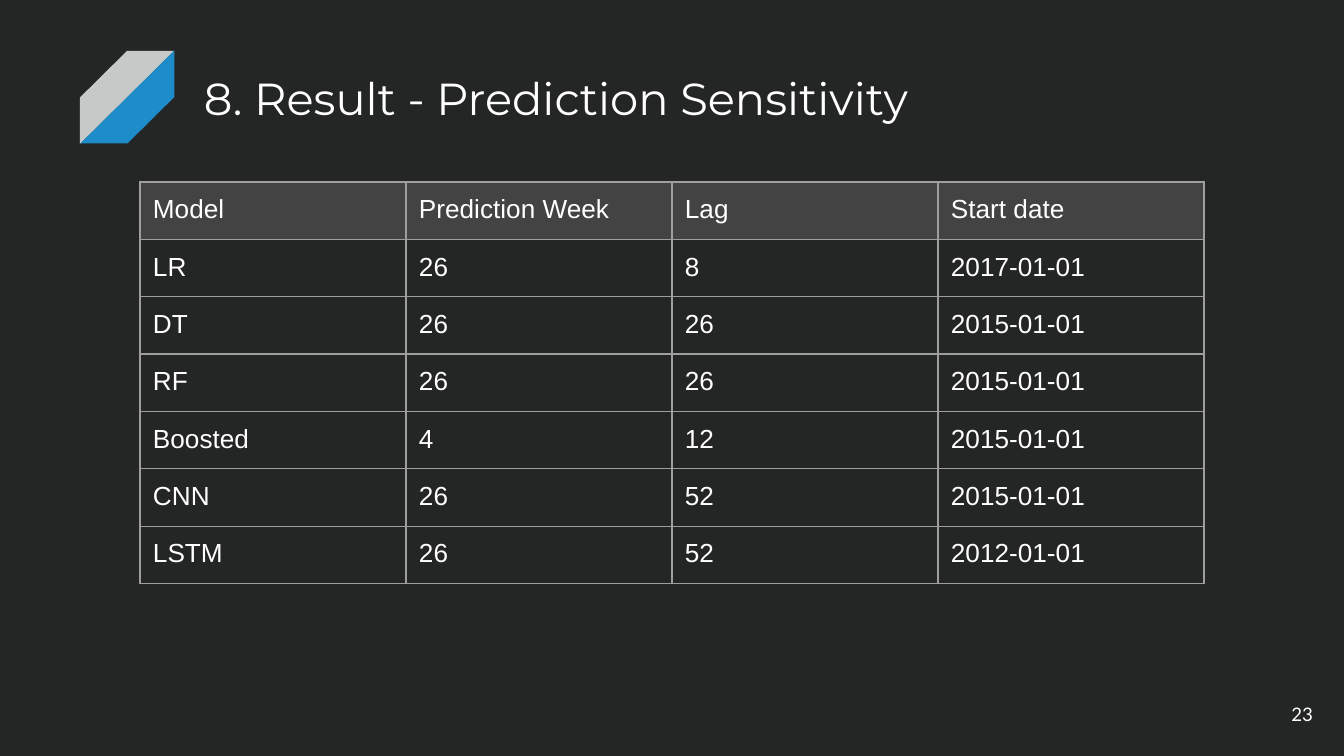
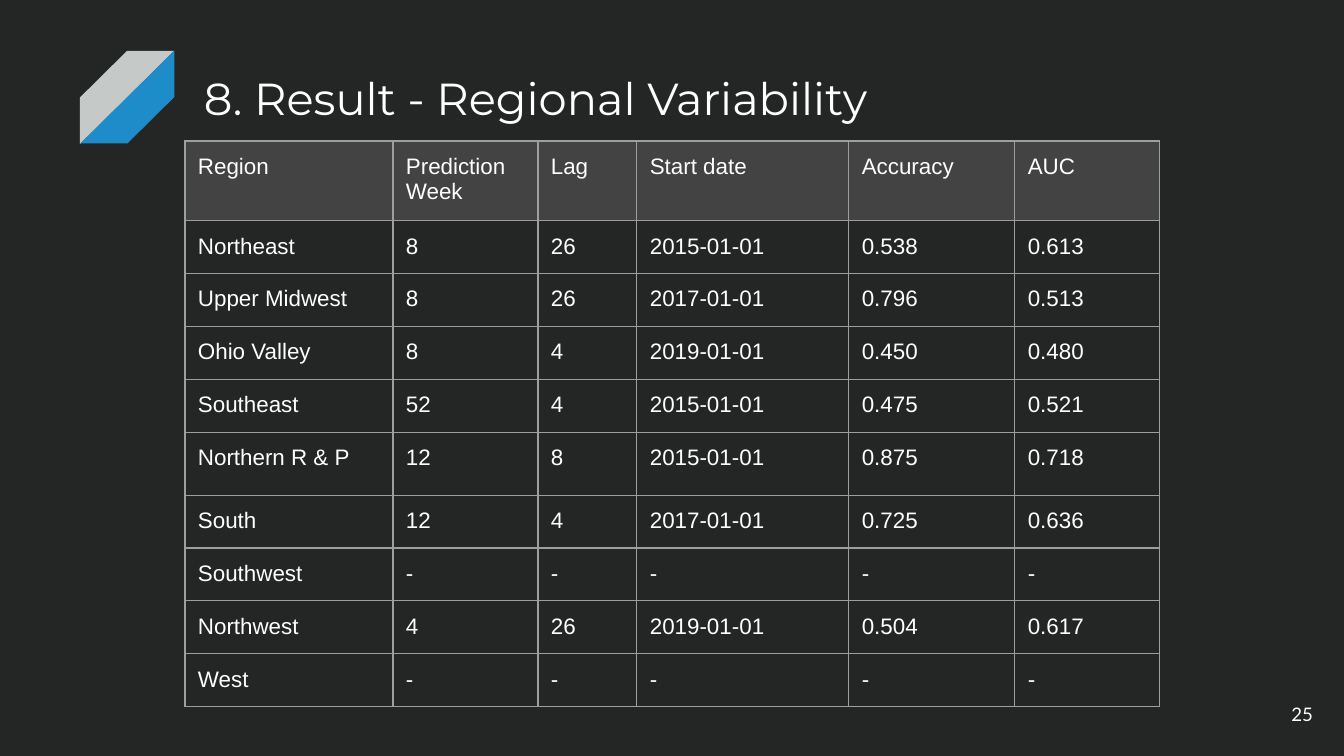
from pptx import Presentation
from pptx.dml.color import RGBColor
from pptx.enum.shapes import MSO_SHAPE as Shape
from pptx.enum.text import MSO_ANCHOR as Anchor, PP_ALIGN as Align
from pptx.oxml.ns import qn
from pptx.util import Emu, Pt
from lxml.etree import SubElement

PX = 914400 / 134.4
INSET = 13
FRAME = 441
COLORS = {
    "background": "242525",
    "text": "FFFFFF",
    "stripe": "C5CAC8",
    "accent": "1F8CCA",
    "header": "434343",
    "border": "9E9E9E",
}

SENSITIVITY = [
    ("Model", "Prediction Week", "Lag", "Start date"),
    ("LR", "26", "8", "2017-01-01"),
    ("DT", "26", "26", "2015-01-01"),
    ("RF", "26", "26", "2015-01-01"),
    ("Boosted", "4", "12", "2015-01-01"),
    ("CNN", "26", "52", "2015-01-01"),
    ("LSTM", "26", "52", "2012-01-01"),
]
REGIONS = [
    ("Region", "Prediction Week", "Lag", "Start date", "Accuracy", "AUC"),
    ("Northeast", "8", "26", "2015-01-01", "0.538", "0.613"),
    ("Upper Midwest", "8", "26", "2017-01-01", "0.796", "0.513"),
    ("Ohio Valley", "8", "4", "2019-01-01", "0.450", "0.480"),
    ("Southeast", "52", "4", "2015-01-01", "0.475", "0.521"),
    ("Northern R & P", "12", "8", "2015-01-01", "0.875", "0.718"),
    ("South", "12", "4", "2017-01-01", "0.725", "0.636"),
    ("Southwest",) + ("-",) * 5,
    ("Northwest", "4", "26", "2019-01-01", "0.504", "0.617"),
    ("West",) + ("-",) * 5,
]


def px(n):
    return Emu(round(n * PX))


def rgb(name):
    return RGBColor.from_string(COLORS[name])


def write(tf, text, size, font="Arial", align=Align.LEFT):
    p = tf.paragraphs[0]
    p.alignment = align
    r = p.add_run()
    r.text = text
    r.font.size = Pt(size)
    r.font.name = font
    r.font.color.rgb = rgb("text")


def add_text(s, box, text, anchor=Anchor.TOP, **fmt):
    tf = s.shapes.add_textbox(*map(px, box)).text_frame
    tf.word_wrap = True
    tf.vertical_anchor = anchor
    tf.margin_left = tf.margin_right = tf.margin_top = tf.margin_bottom = px(INSET)
    write(tf, text, **fmt)


def add_stripe(s, box, color, rotation=0, flip=False):
    sp = s.shapes.add_shape(Shape.DIAGONAL_STRIPE, *map(px, box))
    sp.adjustments[0] = 0.5
    sp.rotation = rotation
    if flip:
        sp._element.spPr.find(qn("a:xfrm")).set("flipH", "1")
    sp.fill.solid()
    sp.fill.fore_color.rgb = rgb(color)
    sp.line.fill.background()
    sp.shadow.inherit = False


def add_borders(cell):
    tc_pr = cell._tc.get_or_add_tcPr()
    for side in ("lnL", "lnR", "lnT", "lnB"):
        ln = SubElement(tc_pr, qn(f"a:{side}"), w=str(Pt(0.75)))
        fill = SubElement(ln, qn("a:solidFill"))
        SubElement(fill, qn("a:srgbClr"), val=COLORS["border"])


def add_grid(s, x, y, widths, heights, rows, size):
    frame = s.shapes.add_table(len(rows), len(widths), px(x), px(y),
                               px(FRAME), px(FRAME))
    table = frame.table
    table.first_row = table.horz_banding = False
    for col, width in zip(table.columns, widths):
        col.width = px(width)
    for i, (row, height, values) in enumerate(zip(table.rows, heights, rows)):
        row.height = px(height)
        for cell, value in zip(row.cells, values):
            cell.margin_left = cell.margin_right = px(INSET)
            cell.margin_top = cell.margin_bottom = px(INSET)
            add_borders(cell)
            if i == 0:
                cell.fill.solid()
                cell.fill.fore_color.rgb = rgb("header")
            else:
                cell.fill.background()
            write(cell.text_frame, value, size)
    frame.width = frame.height = px(FRAME)


def add_slide(prs, title, number):
    s = prs.slides.add_slide(prs.slide_layouts[6])
    s.background.fill.solid()
    s.background.fill.fore_color.rgb = rgb("background")
    add_stripe(s, (80, 51, 94, 93), "stripe")
    add_stripe(s, (81, 50, 93, 94), "accent", rotation=90, flip=True)
    add_text(s, (191, 58, 1035, 134), title, size=24, font="Montserrat")
    add_text(s, (1245, 685, 81, 58), str(number), anchor=Anchor.MIDDLE,
             size=10, font="Lato", align=Align.RIGHT)
    return s


def main():
    prs = Presentation()
    prs.slide_width, prs.slide_height = px(1344), px(756)

    s = add_slide(prs, "8. Result - Prediction Sensitivity", 23)
    add_grid(s, 140, 182, [266] * 4, [56] * 7, SENSITIVITY, 14)

    s = add_slide(prs, "8. Result - Regional Variability", 25)
    add_grid(s, 185, 141, [208, 145, 99, 212, 166, 145],
             [67] + [52] * 4 + [63] + [52] * 4, REGIONS, 12)

    prs.save("out.pptx")


if __name__ == "__main__":
    main()
